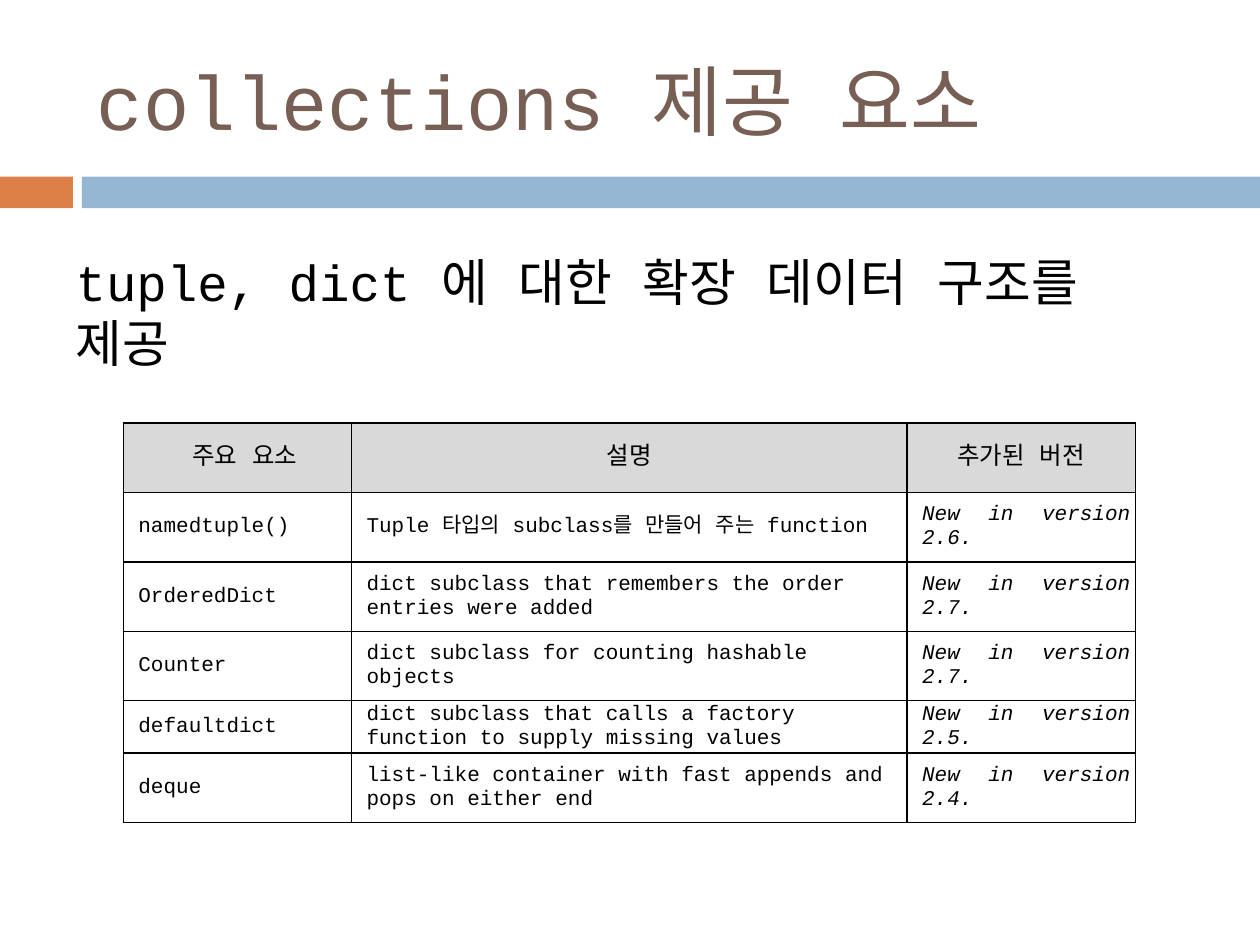
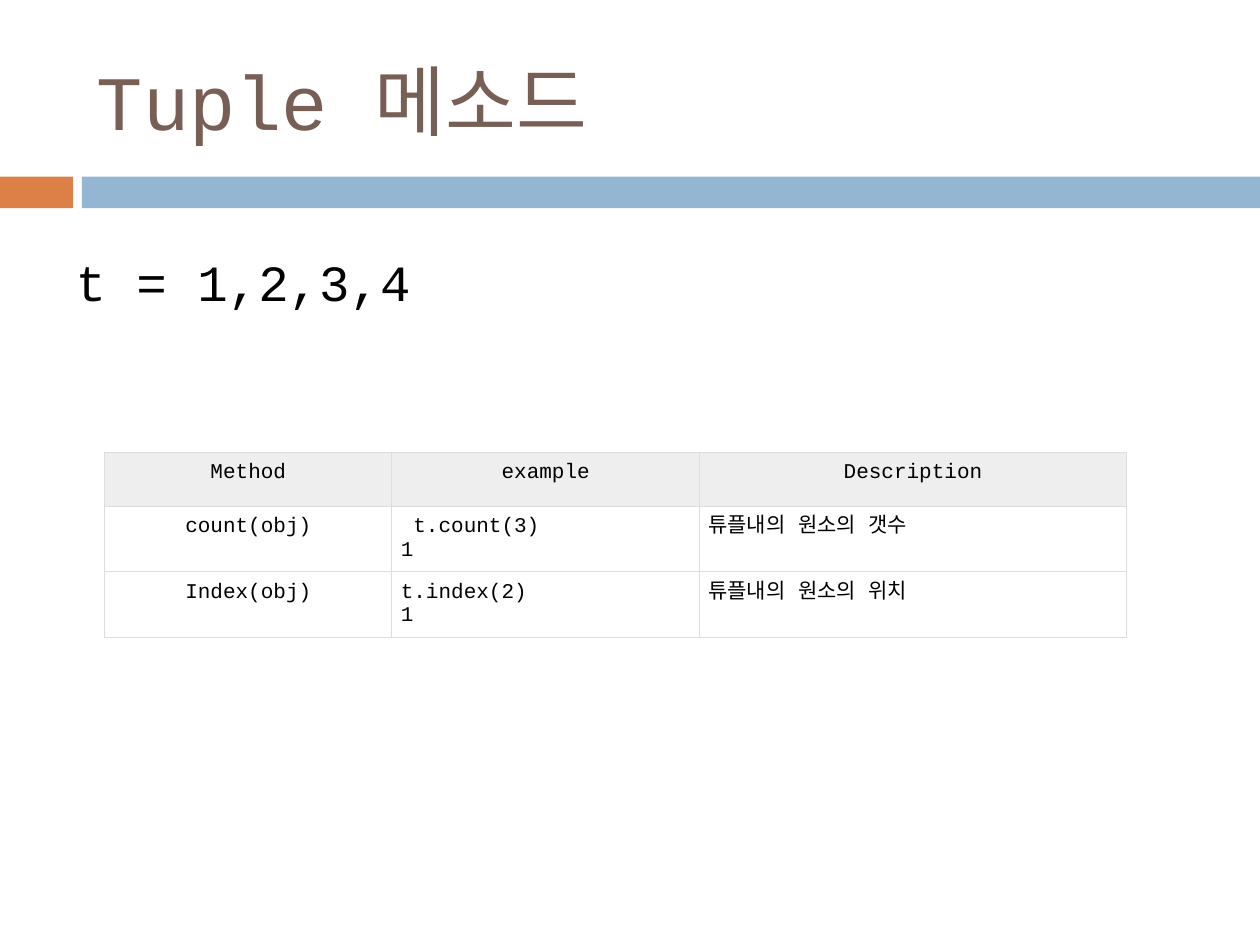
from dataclasses import dataclass

from lxml.etree import SubElement
from pptx import Presentation
from pptx.dml.color import RGBColor
from pptx.enum.shapes import MSO_SHAPE
from pptx.enum.text import MSO_ANCHOR, MSO_AUTO_SIZE, PP_ALIGN
from pptx.oxml.ns import qn
from pptx.util import Cm, Pt


@dataclass(frozen=True)
class Theme:
    font: str = "Courier New"
    title_color: str = "775F55"
    text_color: str = "000000"
    accent: str = "DD8047"
    band: str = "94B6D2"
    paper: str = "FFFFFF"
    title_size: int = 44
    body_size: int = 29
    header_size: int = 14
    cell_size: int = 12


@dataclass(frozen=True)
class TableLook:
    header_fill: str
    header_size: int
    border_color: str
    border_width: float
    anchor: MSO_ANCHOR
    header_margins: tuple  # left, top, right, bottom in cm
    cell_margins: tuple
    alignments: tuple
    italic_columns: tuple = ()


class DeckBuilder:
    def __init__(self, deck, theme):
        self.deck = deck
        self.theme = theme
        self.page = None

    def start_page(self, title, body):
        """Add a slide with the shared bands, title and body line."""
        theme = self.theme
        self.page = self.deck.slides.add_slide(self.deck.slide_layouts[1])
        self.add_band(0, 1.47, theme.accent)
        self.add_band(1.65, 23.75, theme.band)
        self.fill_placeholder(0, (1.7, 0.64, 22.66, 2.74), title,
                              theme.title_size, theme.title_color, MSO_ANCHOR.MIDDLE)
        para = self.fill_placeholder(1, (1.27, 4.93, 22.86, 2.59), body,
                                     theme.body_size, theme.text_color, MSO_ANCHOR.TOP)
        para.space_before = Pt(7)
        # The body line carries no bullet or indent
        properties = para._p.get_or_add_pPr()
        properties.set("marL", "0")
        properties.set("indent", "0")
        SubElement(properties, qn("a:buNone"))

    def add_band(self, left, width, color):
        band = self.page.shapes.add_shape(
            MSO_SHAPE.RECTANGLE, Cm(left), Cm(3.56), Cm(width), Cm(0.64))
        band.shadow.inherit = False
        band.fill.solid()
        band.fill.fore_color.rgb = RGBColor.from_string(color)
        band.line.fill.background()

    def fill_placeholder(self, index, place, text, size, color, anchor):
        box = self.page.placeholders[index]
        box.left, box.top, box.width, box.height = map(Cm, place)
        frame = box.text_frame
        frame.word_wrap = True
        frame.auto_size = MSO_AUTO_SIZE.NONE
        frame.vertical_anchor = anchor
        para = frame.paragraphs[0]
        para.alignment = PP_ALIGN.LEFT
        self.add_span(para, text, size, color)
        return para

    def add_span(self, para, text, size, color, italic=False):
        span = para.add_run()
        span.text = text
        span.font.name = self.theme.font
        span.font.size = Pt(size)
        span.font.italic = italic
        span.font.color.rgb = RGBColor.from_string(color)
        SubElement(span._r.get_or_add_rPr(), qn("a:ea"), typeface=self.theme.font)

    def add_table(self, left, top, widths, heights, rows, look):
        table = self.page.shapes.add_table(
            len(rows), len(widths), Cm(left), Cm(top),
            Cm(sum(widths)), Cm(sum(heights))).table
        table.first_row = table.horz_banding = False
        for column, width in zip(table.columns, widths):
            column.width = Cm(width)
        for row, height in zip(table.rows, heights):
            row.height = Cm(height)
        for row_number, texts in enumerate(rows):
            for column_number, text in enumerate(texts):
                self.fill_cell(table.cell(row_number, column_number), text, look,
                               row_number == 0, column_number)

    def fill_cell(self, cell, text, look, is_header, column_number):
        theme = self.theme
        margins = look.header_margins if is_header else look.cell_margins
        (cell.margin_left, cell.margin_top,
         cell.margin_right, cell.margin_bottom) = map(Cm, margins)
        cell.vertical_anchor = look.anchor
        self.add_borders(cell, look)
        cell.fill.solid()
        cell.fill.fore_color.rgb = RGBColor.from_string(
            look.header_fill if is_header else theme.paper)
        for number, line in enumerate(text.split("\n")):
            frame = cell.text_frame
            para = frame.add_paragraph() if number else frame.paragraphs[0]
            para.alignment = PP_ALIGN.CENTER if is_header else look.alignments[column_number]
            self.add_span(para, line,
                          look.header_size if is_header else theme.cell_size,
                          theme.text_color,
                          not is_header and column_number in look.italic_columns)

    def add_borders(self, cell, look):
        properties = cell._tc.get_or_add_tcPr()
        for side in ("a:lnL", "a:lnR", "a:lnT", "a:lnB"):
            line = SubElement(properties, qn(side), w=str(Pt(look.border_width)))
            fill = SubElement(line, qn("a:solidFill"))
            SubElement(fill, qn("a:srgbClr"), val=look.border_color)


def main():
    deck = Presentation()
    deck.slide_width, deck.slide_height = Cm(25.4), Cm(19.05)
    theme = Theme()
    builder = DeckBuilder(deck, theme)

    # Elements of the collections module
    builder.start_page("collections 제공 요소",
                       "tuple, dict 에 대한 확장 데이터 구조를 제공")
    elements = [
        ("namedtuple()", "Tuple 타입의 subclass를 만들어 주는 function", "2.6"),
        ("OrderedDict", "dict subclass that remembers the order entries were added", "2.7"),
        ("Counter", "dict subclass for counting hashable objects", "2.7"),
        ("defaultdict",
         "dict subclass that calls a factory function to supply missing values", "2.5"),
        ("deque", "list-like container with fast appends and pops on either end", "2.4"),
    ]
    element_rows = [(" 주요 요소", "설명", "추가된 버전")]
    element_rows += [(name, description, f"New in version {version}.")
                     for name, description, version in elements]
    element_look = TableLook(
        header_fill="D9D9D9", header_size=theme.header_size,
        border_color="000000", border_width=1, anchor=MSO_ANCHOR.MIDDLE,
        header_margins=(0.1, 0.05, 0.1, 0.05), cell_margins=(0.3, 0.05, 0.1, 0.05),
        alignments=(PP_ALIGN.LEFT, PP_ALIGN.LEFT, PP_ALIGN.JUSTIFY),
        italic_columns=(2,))
    builder.add_table(2.49, 8.53, (4.6, 11.2, 4.6), (1.4, 1.4, 1.4, 1.4, 0.94, 1.4),
                      element_rows, element_look)

    # Tuple methods
    builder.start_page("Tuple 메소드", "t = 1,2,3,4")
    method_rows = [
        ("Method", "example", "Description"),
        ("count(obj)", " t.count(3)\n1", "튜플내의 원소의 갯수"),
        ("Index(obj)", "t.index(2)\n1", "튜플내의 원소의 위치"),
    ]
    even_margins = (0.18,) * 4
    method_look = TableLook(
        header_fill="EEEEEE", header_size=theme.cell_size,
        border_color="DDDDDD", border_width=0.6, anchor=MSO_ANCHOR.TOP,
        header_margins=even_margins, cell_margins=even_margins,
        alignments=(PP_ALIGN.CENTER, PP_ALIGN.LEFT, PP_ALIGN.LEFT))
    builder.add_table(2.11, 9.12, (5.79, 6.2, 8.61), (1.09, 1.3, 1.3),
                      method_rows, method_look)

    deck.save("out.pptx")


if __name__ == "__main__":
    main()
